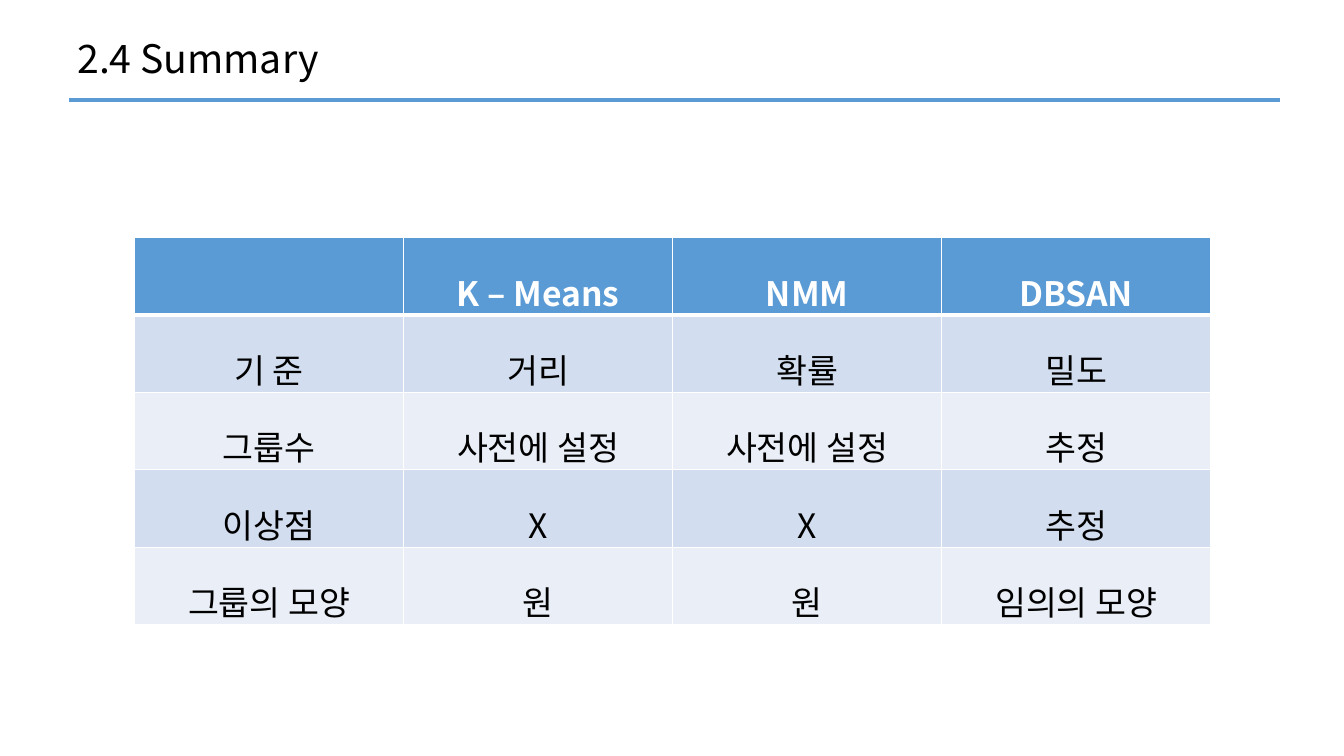
from lxml import etree
from pptx import Presentation
from pptx.dml.color import RGBColor
from pptx.enum.shapes import MSO_CONNECTOR
from pptx.enum.text import MSO_ANCHOR, PP_ALIGN
from pptx.oxml.ns import qn
from pptx.util import Cm, Pt

STRAIGHT = MSO_CONNECTOR.STRAIGHT
MIDDLE = MSO_ANCHOR.MIDDLE
LEFT, CENTER = PP_ALIGN.LEFT, PP_ALIGN.CENTER

# Content
TITLE = "2.4 Summary"
COMPARISON = [
    ["", "K – Means", "NMM", "DBSAN"],
    ["기 준", "거리", "확률", "밀도"],
    ["그룹수", "사전에 설정", "사전에 설정", "추정"],
    ["이상점", "X", "X", "추정"],
    ["그룹의 모양", "원", "원", "임의의 모양"],
]

# Style
FONT = "Noto Sans CJK KR"
COLORS = {"text": "000000", "white": "FFFFFF", "blue": "5B9BD5",
          "band_dark": "D2DEEF", "band_light": "EAEFF7"}
COLUMN_WIDTH, ROW_HEIGHT = Cm(6.78), Cm(1.95)


def rgb(name):
    return RGBColor.from_string(COLORS[name])


def write(frame, text, size=24, color="text", bold=False, align=CENTER, spacing=1.5):
    paragraph = frame.paragraphs[0]
    paragraph.alignment = align
    paragraph.line_spacing = spacing
    run = paragraph.add_run()
    run.text = text
    run.font.size = Pt(size)
    run.font.bold = bold
    run.font.color.rgb = rgb(color)
    run.font.name = FONT
    east_asian = etree.SubElement(run._r.get_or_add_rPr(), qn("a:ea"))
    east_asian.set("typeface", FONT)


def add_borders(cell, **widths):
    properties = cell._tc.get_or_add_tcPr()
    for side, width in widths.items():
        border = etree.SubElement(properties, qn(f"a:ln{side}"), w=str(Pt(width)))
        fill = etree.SubElement(border, qn("a:solidFill"))
        etree.SubElement(fill, qn("a:srgbClr"), val=COLORS["white"])


prs = Presentation()
prs.slide_width, prs.slide_height = Cm(33.87), Cm(19.05)
slide = prs.slides.add_slide(prs.slide_layouts[6])

# Title and rule
rule = slide.shapes.add_connector(STRAIGHT, Cm(1.73), Cm(2.52), Cm(32.26), Cm(2.52))
rule.line.color.rgb = rgb("blue")
rule.line.width = Pt(3)
etree.SubElement(rule._element.spPr, qn("a:effectLst"))

heading = slide.shapes.add_textbox(Cm(1.7), Cm(0.76), Cm(30.48), Cm(1.55)).text_frame
heading.word_wrap = True
heading.vertical_anchor = MIDDLE
write(heading, TITLE, size=28, align=LEFT, spacing=0.9)

# Comparison table
row_count, column_count = len(COMPARISON), len(COMPARISON[0])
table = slide.shapes.add_table(row_count, column_count, Cm(3.39), Cm(5.99),
                               COLUMN_WIDTH * column_count, ROW_HEIGHT * row_count).table
for column in table.columns:
    column.width = COLUMN_WIDTH
for r, labels in enumerate(COMPARISON):
    table.rows[r].height = ROW_HEIGHT
    is_header = r == 0
    band = "blue" if is_header else "band_dark" if r % 2 else "band_light"
    for c, label in enumerate(labels):
        cell = table.cell(r, c)
        add_borders(cell, L=1, R=1, T=3 if r == 1 else 1, B=3 if is_header else 1)
        cell.fill.solid()
        cell.fill.fore_color.rgb = rgb(band)
        if label:
            write(cell.text_frame, label, bold=is_header,
                  color="white" if is_header else "text")

prs.save("out.pptx")
